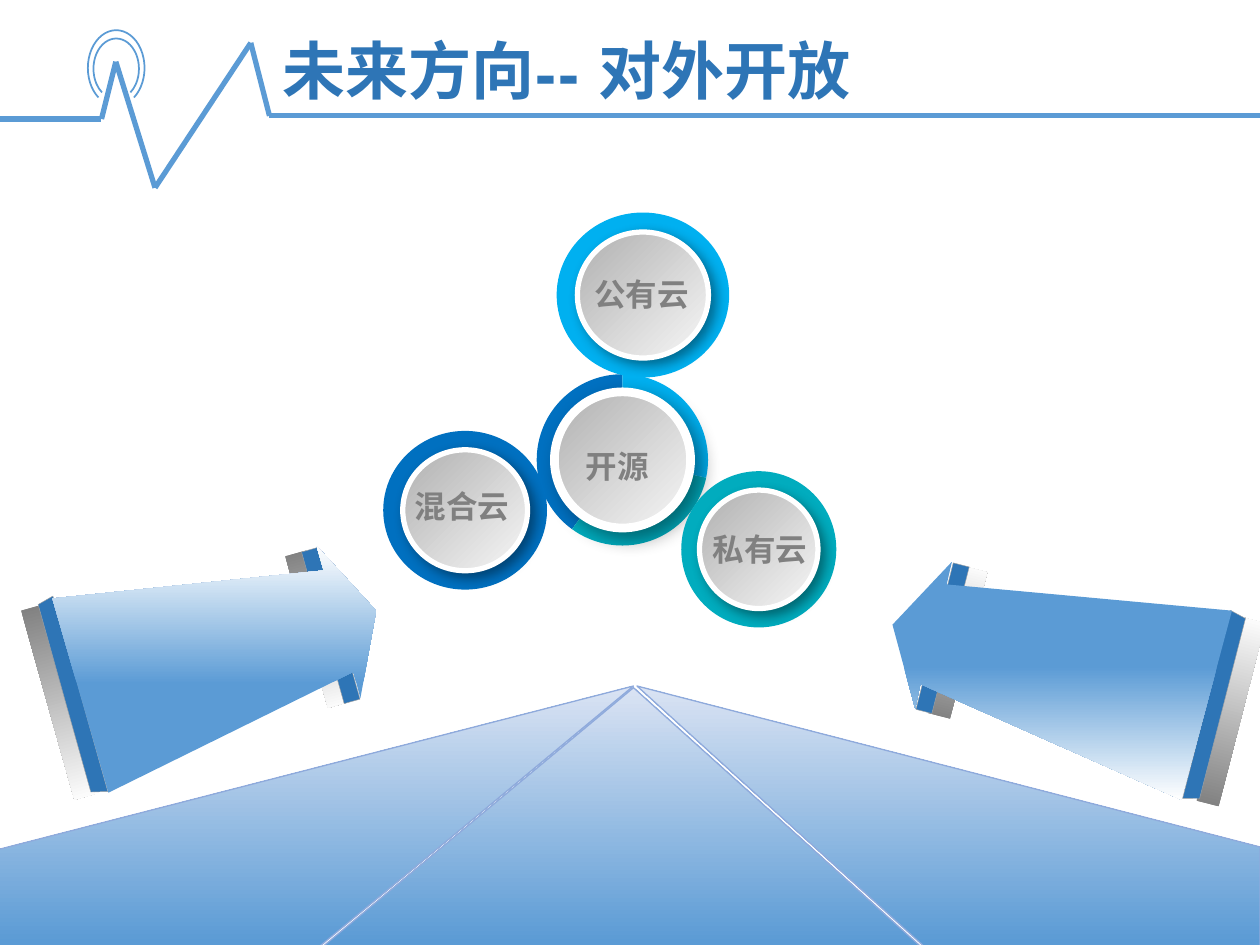
from itertools import pairwise

from lxml.etree import SubElement
from pptx import Presentation
from pptx.dml.color import RGBColor
from pptx.enum.shapes import MSO_CONNECTOR, MSO_SHAPE
from pptx.enum.text import MSO_ANCHOR, PP_ALIGN
from pptx.oxml import parse_xml
from pptx.oxml.ns import nsdecls, qn
from pptx.util import Pt

THEME = {
    "latin": "League Spartan", "cjk": "Noto Sans CJK SC",
    "title_size": 36, "label_size": 18,
    "title": "2E75B6", "label": "808080", "pulse": "5B9BD5", "side": "2E75B6",
    "side_edge": "A0A2A4", "road_edge": "8FAADC", "rim": "FFFFFF",
    "road": [(6, "5B9BD5"), (100, "DAE3F3")],
    "arrow": [(44, "5B9BD5"), (100, "FFFFFF")],
    "shade": [(1, "808080"), (100, "FFFFFF")],
    "disc": [(0, "B0B0B0"), (100, "F7F7F7")],
}

TITLE = "未来方向-- 对外开放"
ROAD = [
    [(-3, 486), (-3, 548), (174, 548), (361.5, 392.5)],
    [(176, 548), (534, 548), (362, 393)],
    [(536, 548), (720, 548), (720, 484.5), (363.5, 392.5)],
]
PULSE = [(0, 68), (58, 68), (66.2, 35.3), (88.6, 107.3), (143.3, 24.5),
         (154, 66.2), (720, 66.2)]
# centre x, centre y, width, height
SIGNAL_ARCS = [(66.4, 39.3, 26, 34.6), (66.4, 38.9, 32.4, 43.2)]
# bars are left, top, width, height before rotation
ARROWS = [
    {"rotation": 74.3, "shade_angle": 0, "face_angle": 270, "flip": True,
     "shades": [(136, 353.5, 90, 12.2), (-23, 395.3, 112.3, 12.2)],
     "tip": (144, 352.8, 90, 9.4), "tail": (-16.6, 393, 116, 9.4),
     "face": [(62, 453), (29.5, 341.5), (185, 326), (180.7, 312),
              (215.3, 349), (206, 399), (201.6, 384.5)]},
    {"rotation": 104.3, "shade_angle": 180, "face_angle": 90, "flip": False,
     "shades": [(504, 360.7, 86.4, 13), (649.4, 400.3, 108, 13)],
     "tip": (495.4, 360, 86.4, 9.4), "tail": (638.6, 399, 110.9, 9.4),
     "face": [(675.4, 457), (704, 349), (540.7, 334), (544.3, 321),
              (509.8, 357), (522.7, 404.6), (526.3, 391)]},
]
CORE = {"centre": (355.7, 262.8), "size": 97.9, "disc": 77.8,
        "slices": [(126, 270, "0070C0"), (12, 126, "01ACBE"), (270, 12, "00B0F0")],
        "label": ("开源", 352.8, 247.7)}
# ring centre, ring size, disc size, colour, label (text, centre x, top)
CLOUDS = [
    ((265.8, 291.6), (93.6, 90.7), (71.3, 69.1), "0070C0", ("混合云", 263.9, 275)),
    ((433.6, 313.9), (88.6, 89.3), (67.7, 67.7), "01ACBE", ("私有云", 434.2, 299.5)),
    ((367.4, 168.6), (98.6, 94.3), (74.9, 72), "00B0F0", ("公有云", 366.5, 153.4)),
]


def set_gradient(shape, stops, angle):
    """Fill with (percent, colour) stops, running clockwise from left to right."""
    shape.fill.gradient()
    old = shape._element.spPr.find(qn("a:gradFill"))
    marks = "".join(f'<a:gs pos="{pos * 1000}"><a:srgbClr val="{color}"/></a:gs>'
                    for pos, color in stops)
    new = parse_xml(f'<a:gradFill {nsdecls("a")} rotWithShape="1"><a:gsLst>{marks}'
                    f'</a:gsLst><a:lin ang="{angle * 60000}" scaled="0"/></a:gradFill>')
    old.getparent().replace(old, new)


def style(shape, fill=None, angle=0, line=None, width=0.75):
    """Fill is a colour, a list of gradient stops or None."""
    shape.shadow.inherit = False
    if fill is None:
        shape.fill.background()
    elif isinstance(fill, str):
        shape.fill.solid()
        shape.fill.fore_color.rgb = RGBColor.from_string(fill)
    else:
        set_gradient(shape, fill, angle)
    if line:
        shape.line.color.rgb = RGBColor.from_string(line)
        shape.line.width = Pt(width)
    else:
        shape.line.fill.background()


def add_preset(s, kind, box, **look):
    sp = s.shapes.add_shape(kind, *map(Pt, box))
    style(sp, **look)
    return sp


def add_polygon(s, points, **look):
    builder = s.shapes.build_freeform(*points[0], scale=Pt(1))
    builder.add_line_segments(points[1:], close=True)
    style(builder.convert_to_shape(), **look)


def around(centre, size):
    (x, y), (w, h) = centre, size
    return x - w / 2, y - h / 2, w, h


def set_angles(shape, start, end):
    # angles are stored in 1/60000 degree, adjustments in 1/100000
    shape.adjustments[0] = start * 0.6
    shape.adjustments[1] = end * 0.6


def set_font(p, size, color, latin):
    p.font.size = Pt(size)
    p.font.bold = True
    p.font.name = latin
    p.font.color.rgb = RGBColor.from_string(color)
    SubElement(p._p.pPr.find(qn("a:defRPr")), qn("a:ea"), typeface=THEME["cjk"])


def add_title(s):
    sp = s.shapes.title
    sp.left, sp.top, sp.width, sp.height = map(Pt, (154, 14.4, 566, 51))
    tf = sp.text_frame
    tf.text = TITLE
    tf.vertical_anchor = MSO_ANCHOR.MIDDLE
    p = tf.paragraphs[0]
    p.alignment = PP_ALIGN.LEFT
    set_font(p, THEME["title_size"], THEME["title"], THEME["latin"])


def add_label(s, text, x, top, spacing=None):
    tf = s.shapes.add_textbox(Pt(x - 40), Pt(top), Pt(80), Pt(26)).text_frame
    tf.word_wrap = True
    p = tf.paragraphs[0]
    p.text = text
    p.alignment = PP_ALIGN.CENTER
    p.line_spacing = spacing
    set_font(p, THEME["label_size"], THEME["label"], THEME["cjk"])


def add_disc(s, centre, size, rim, blur, distance):
    disc = add_preset(s, MSO_SHAPE.OVAL, around(centre, size), fill=THEME["disc"],
                      angle=45, line=THEME["rim"], width=rim)
    effects = disc._element.spPr.find(qn("a:effectLst"))
    effects.append(parse_xml(
        f'<a:outerShdw {nsdecls("a")} blurRad="{Pt(blur)}" dist="{Pt(distance)}" '
        'dir="2700000" algn="tl" rotWithShape="0"><a:srgbClr val="000000">'
        '<a:alpha val="40000"/></a:srgbClr></a:outerShdw>'))


def add_pulse(s):
    for start, end in pairwise(PULSE):
        c = s.shapes.add_connector(MSO_CONNECTOR.STRAIGHT, *map(Pt, start + end))
        c.line.color.rgb = RGBColor.from_string(THEME["pulse"])
        c.line.width = Pt(3)
        SubElement(c._element.spPr, qn("a:effectLst"))
    for x, y, w, h in SIGNAL_ARCS:
        arc = add_preset(s, MSO_SHAPE.ARC, around((x, y), (w, h)),
                         line=THEME["pulse"], width=1)
        set_angles(arc, 121, 59)


def add_arrow(s, arrow):
    side = {"fill": THEME["side"], "line": THEME["side_edge"], "width": 0.25}
    bars = [add_preset(s, MSO_SHAPE.RECTANGLE, box, fill=THEME["shade"],
                       angle=arrow["shade_angle"]) for box in arrow["shades"]]
    bars.append(add_preset(s, MSO_SHAPE.RECTANGLE, arrow["tip"], **side))
    tail = add_preset(s, MSO_SHAPE.TRAPEZOID, arrow["tail"], **side)
    if arrow["flip"]:
        tail._element.spPr.xfrm.set("flipV", "1")
    for bar in bars + [tail]:
        bar.rotation = arrow["rotation"]
    add_polygon(s, arrow["face"], fill=THEME["arrow"], angle=arrow["face_angle"])


def add_core(s):
    for start, end, color in CORE["slices"]:
        pie = add_preset(s, MSO_SHAPE.PIE, around(CORE["centre"], (CORE["size"],) * 2),
                         fill=color)
        set_angles(pie, start, end)
    add_disc(s, CORE["centre"], (CORE["disc"],) * 2, 5, 11, 6)
    add_label(s, *CORE["label"], spacing=1.2)


def main():
    prs = Presentation()
    prs.slide_width, prs.slide_height = Pt(720), Pt(540)
    s = prs.slides.add_slide(prs.slide_layouts[5])
    for lane in ROAD:
        add_polygon(s, lane, fill=THEME["road"], angle=270, line=THEME["road_edge"])
    add_title(s)
    add_pulse(s)
    for arrow in ARROWS:
        add_arrow(s, arrow)
    add_core(s)
    for centre, ring, disc, color, label in CLOUDS:
        add_preset(s, MSO_SHAPE.OVAL, around(centre, ring), fill=color)
        add_disc(s, centre, disc, 3, 7, 4)
        add_label(s, *label)
    prs.save("out.pptx")


if __name__ == "__main__":
    main()
